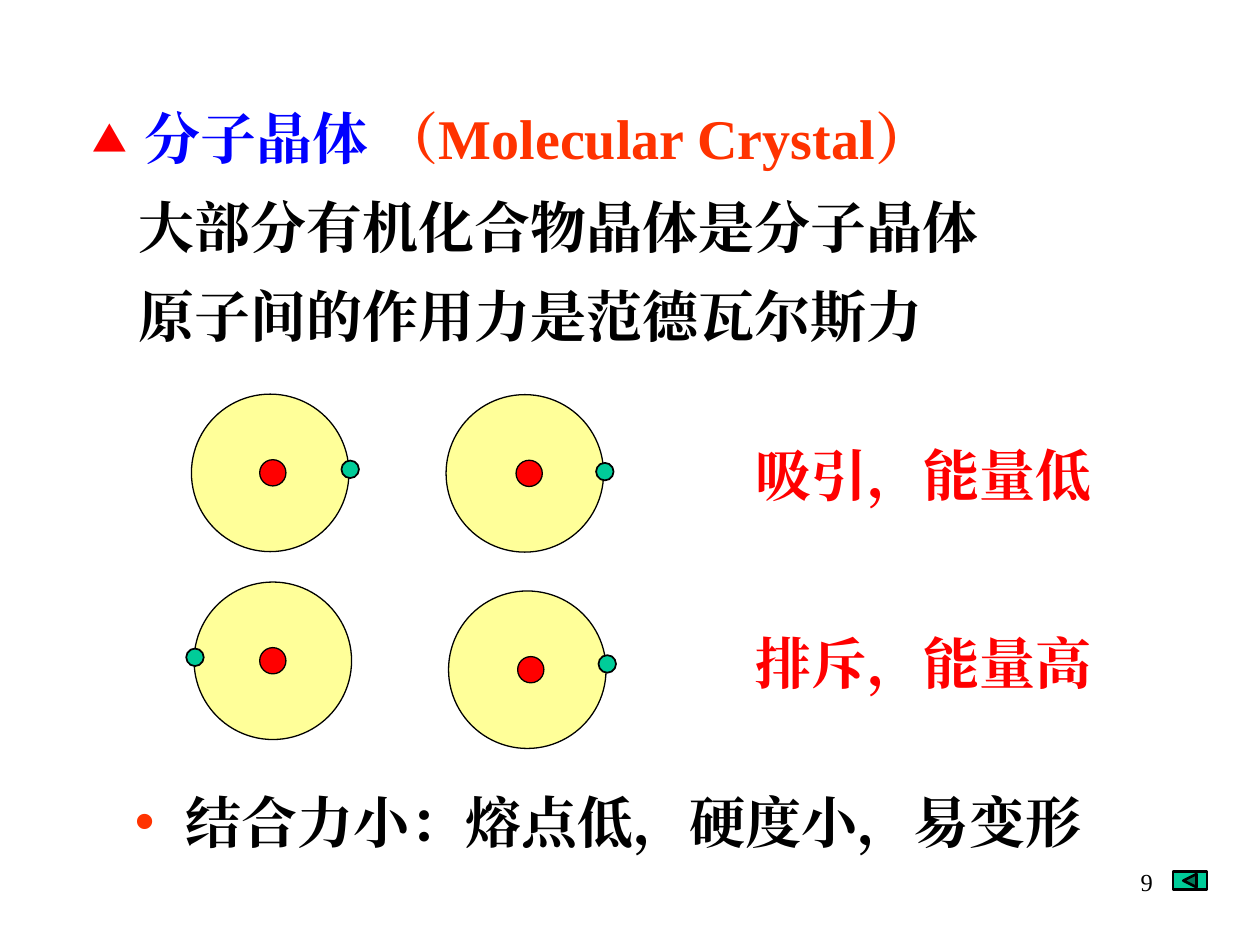
from dataclasses import dataclass

from lxml.etree import SubElement
from pptx import Presentation
from pptx.dml.color import RGBColor
from pptx.enum.shapes import MSO_SHAPE as Preset
from pptx.enum.text import MSO_ANCHOR as Anchor, MSO_AUTO_SIZE as AutoSize, PP_ALIGN as Align
from pptx.oxml.ns import qn
from pptx.util import Pt

COLORS = {
    "black": "000000", "red": "FF0000", "blue": "0000FF", "orange": "FF3300",
    "cloud": "FFFF99", "electron": "00CC99",
}
SERIF = "Times New Roman"
CLOUD_SIZE, NUCLEUS_SIZE, ELECTRON_SIZE = 90, 15, 10


@dataclass
class Atom:
    """Left and top of the cloud; nucleus and electron are offsets from there."""
    left: float
    top: float
    nucleus_x: float
    electron_x: float
    electron_y: float


@dataclass
class Span:
    text: str
    color: str = "black"
    size: float = 32
    bold: bool = True


@dataclass
class Bullet:
    char: str
    color: str
    font: str
    percent: int
    margin: float
    indent: float


ATOMS = [
    Atom(109.4, 225.2, 39, 85.7, 38),
    Atom(254.9, 225.5, 40, 85.7, 39),
    Atom(110.9, 332.6, 37.5, -4.5, 38),
    Atom(256.3, 337.7, 39.5, 85.7, 36.7),
]


def rgb(name: str) -> RGBColor:
    return RGBColor.from_string(COLORS[name])


def place(box, left: float, top: float, width: float, height: float) -> None:
    box.left, box.top, box.width, box.height = map(Pt, (left, top, width, height))


def prepare_frame(box, anchor=Anchor.TOP):
    frame = box.text_frame
    frame.word_wrap = True
    frame.auto_size = AutoSize.NONE
    frame.vertical_anchor = anchor
    return frame


def set_bullet(para, bullet: Bullet | None) -> None:
    props = para._p.get_or_add_pPr()
    props.set("marL", str(Pt(bullet.margin if bullet else 0)))
    props.set("indent", str(Pt(bullet.indent if bullet else 0)))
    if bullet is None:
        SubElement(props, qn("a:buNone"))
        return
    color = SubElement(props, qn("a:buClr"))
    SubElement(color, qn("a:srgbClr"), val=COLORS[bullet.color])
    SubElement(props, qn("a:buSzPct"), val=str(bullet.percent * 1000))
    SubElement(props, qn("a:buFont"), typeface=bullet.font)
    SubElement(props, qn("a:buChar"), char=bullet.char)


def fill_para(para, spans: list[Span], bullet: Bullet | None = None, align=Align.LEFT) -> None:
    set_bullet(para, bullet)
    para.alignment = align
    para.space_before = Pt(0)
    for span in spans:
        run = para.add_run()
        run.text = span.text
        font = run.font
        font.name, font.size, font.bold = SERIF, Pt(span.size), span.bold
        font.color.rgb = rgb(span.color)
        SubElement(run._r.get_or_add_rPr(), qn("a:ea"), typeface=SERIF)


def add_label(page, bounds: tuple, span: Span, bullet: Bullet | None = None, align=Align.LEFT) -> None:
    box = page.shapes.add_textbox(*map(Pt, bounds))
    fill_para(prepare_frame(box).paragraphs[0], [span], bullet, align)


def add_preset(page, preset, bounds: tuple, fill: str, line_width: float) -> None:
    shape = page.shapes.add_shape(preset, *map(Pt, bounds))
    shape.shadow.inherit = False
    shape.fill.solid()
    shape.fill.fore_color.rgb = rgb(fill)
    shape.line.color.rgb = rgb("black")
    shape.line.width = Pt(line_width)


def add_atom(page, atom: Atom) -> None:
    parts = [
        (0, 0, CLOUD_SIZE, "cloud", 0.75),
        (atom.nucleus_x, (CLOUD_SIZE - NUCLEUS_SIZE) / 2, NUCLEUS_SIZE, "red", 0.75),
        (atom.electron_x, atom.electron_y, ELECTRON_SIZE, "electron", 1),
    ]
    for x, y, size, fill, line_width in parts:
        bounds = (atom.left + x, atom.top + y, size, size)
        add_preset(page, Preset.OVAL, bounds, fill, line_width)


def main() -> None:
    deck = Presentation()
    deck.slide_width, deck.slide_height = Pt(720), Pt(540)
    page = deck.slides.add_slide(deck.slide_layouts[1])

    title, body = page.shapes.title, page.placeholders[1]
    place(title, 45.4, 55.4, 587.5, 46)
    heading = [Span("分子晶体 ", "blue"), Span("（Molecular Crystal）", "orange")]
    triangle = Bullet("▲", "red", "Noto Sans CJK SC", 62, 30, -30)
    fill_para(prepare_frame(title, Anchor.MIDDLE).paragraphs[0], heading, triangle)

    place(body, 72, 113.8, 566, 88.6)
    frame = prepare_frame(body)
    for index, line in enumerate(["大部分有机化合物晶体是分子晶体", "原子间的作用力是范德瓦尔斯力"]):
        para = frame.add_paragraph() if index else frame.paragraphs[0]
        fill_para(para, [Span(line)])
        para.line_spacing = 0.8
        para.space_before = Pt(20 if index else 0)

    for atom in ATOMS:
        add_atom(page, atom)
    add_label(page, (424.4, 248.4, 234, 46), Span("吸引，能量低", "red"))
    add_label(page, (424.8, 355.7, 222, 46), Span("排斥，能量高", "red"))

    dot = Bullet("•", "orange", "Arial", 100, 39, -29)
    add_label(page, (60, 446.4, 600, 46), Span("结合力小：熔点低，硬度小，易变形"), dot)
    add_label(page, (516, 491.8, 150, 36), Span("9", size=14, bold=False), align=Align.RIGHT)
    add_preset(page, Preset.ACTION_BUTTON_BACK_OR_PREVIOUS, (670.3, 498.2, 19.4, 10.1), "electron", 1.5)

    deck.save("out.pptx")


if __name__ == "__main__":
    main()
